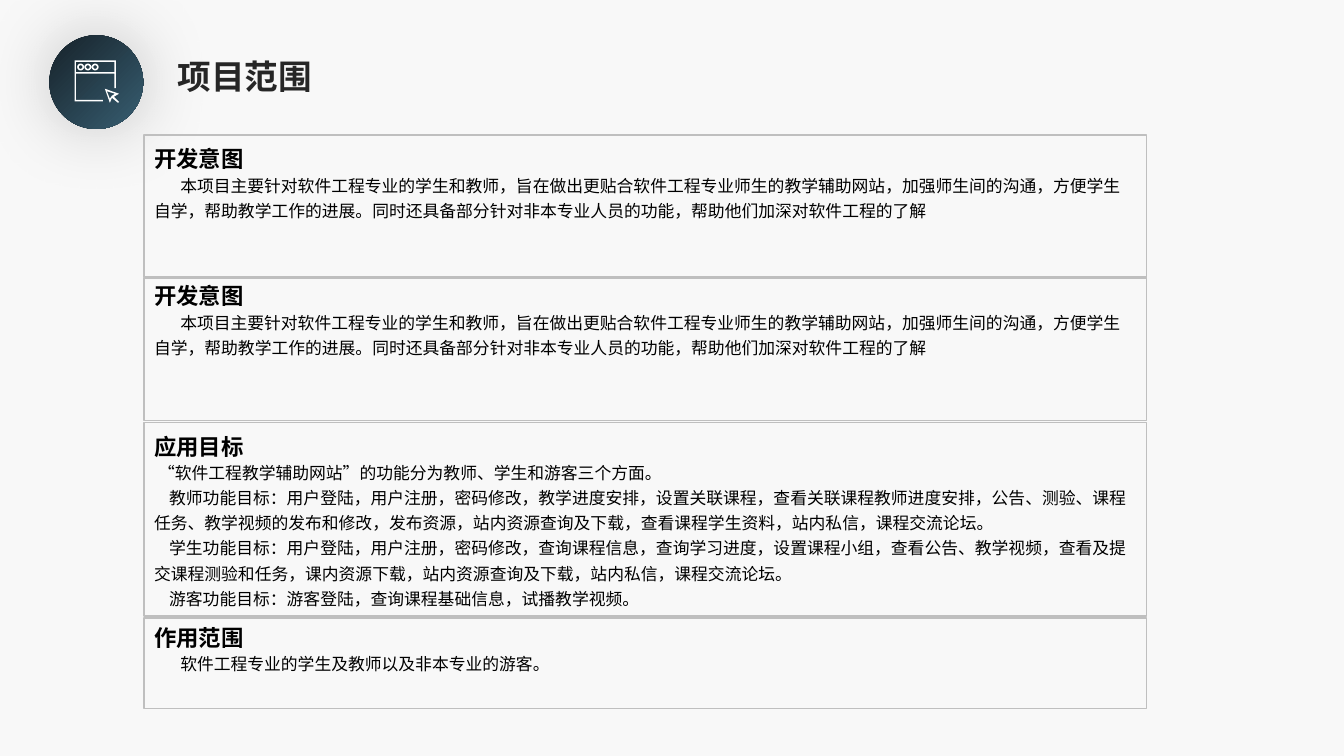
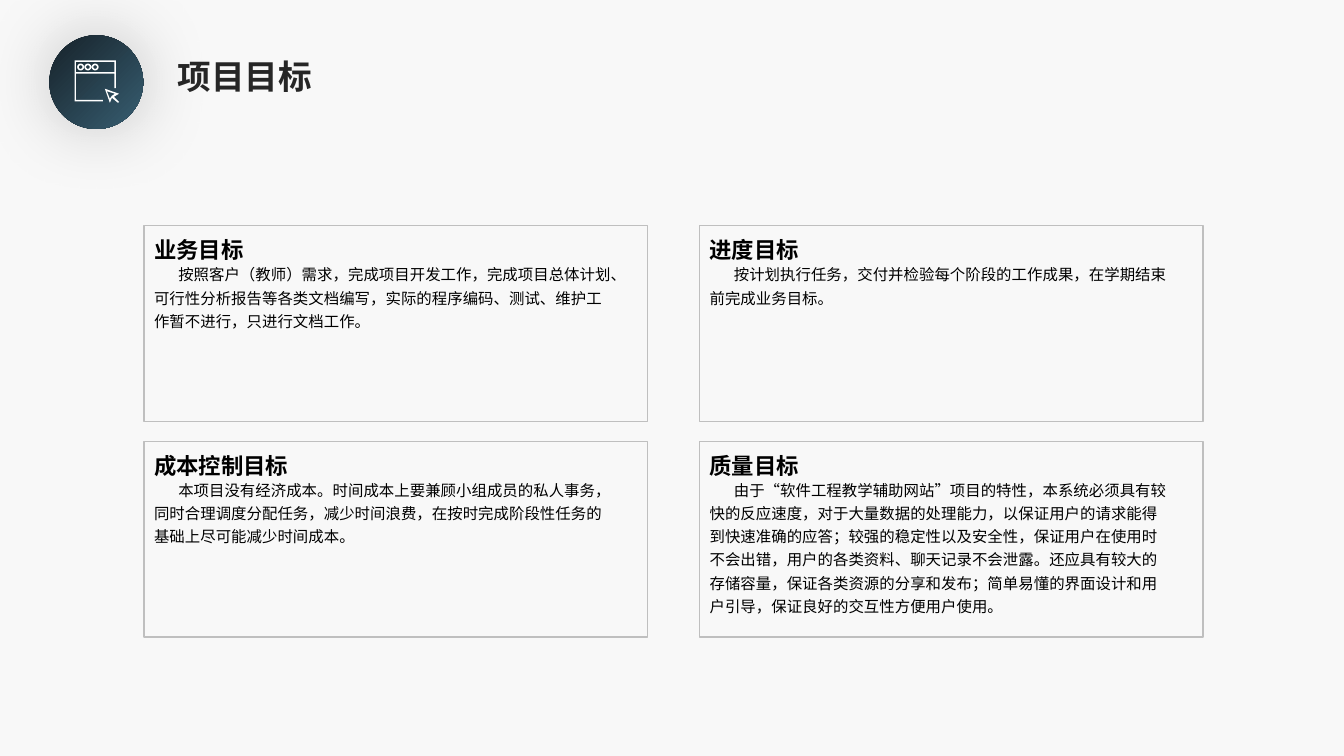
"""Build two project slides with a shared badge, title and framed text cards."""
from math import cos, sin, pi
from lxml.etree import SubElement
from pptx import Presentation
from pptx.dml.color import RGBColor
from pptx.enum.shapes import MSO_SHAPE as Shape
from pptx.enum.text import MSO_ANCHOR as Anchor, MSO_AUTO_SIZE as Auto, PP_ALIGN as Align
from pptx.oxml.ns import qn
from pptx.util import Inches as In, Pt

FONT = "Noto Sans CJK SC"
PAPER, INK, BLACK, WHITE, RULE = "F8F8F8", "262626", "000000", "FFFFFF", "BFBFBF"
DARK, TEAL = "17232B", "395F72"
LEFT, STEP = 1.43, 0.3


def color(code):
    return RGBColor.from_string(code)


def write(box, *lines, size=12, ink=BLACK, bold=False, space=None, indents=(0,),
          anchor=Anchor.TOP, auto=Auto.SHAPE_TO_FIT_TEXT):
    frame = box.text_frame
    frame.word_wrap, frame.auto_size, frame.vertical_anchor = True, auto, anchor
    frame.text = "\n".join(lines)
    for n, para in enumerate(frame.paragraphs):
        para.alignment, para.line_spacing = Align.LEFT, space
        para._p.get_or_add_pPr().set("indent", str(In(indents[min(n, len(indents) - 1)])))
        font = para.runs[0].font
        font.size, font.bold, font.name = Pt(size), bold, FONT
        font.color.rgb = color(ink)
        props = para.runs[0]._r.get_or_add_rPr()
        props.set("lang", "zh-CN")
        SubElement(props, qn("a:ea")).set("typeface", FONT)


intent = ("本项目主要针对软件工程专业的学生和教师，旨在做出更贴合软件工程专业师生的教学辅助网站，"
          "加强师生间的沟通，方便学生自学，帮助教学工作的进展。同时还具备部分针对非本专业人员的功能，"
          "帮助他们加深对软件工程的了解")
goals = [
    "“软件工程教学辅助网站”的功能分为教师、学生和游客三个方面。",
    "教师功能目标：用户登陆，用户注册，密码修改，教学进度安排，设置关联课程，查看关联课程教师进度安排，"
    "公告、测验、课程任务、教学视频的发布和修改，发布资源，站内资源查询及下载，查看课程学生资料，"
    "站内私信，课程交流论坛。",
    "学生功能目标：用户登陆，用户注册，密码修改，查询课程信息，查询学习进度，设置课程小组，查看公告、"
    "教学视频，查看及提交课程测验和任务，课内资源下载，站内资源查询及下载，站内私信，课程交流论坛。",
    "游客功能目标：游客登陆，查询课程基础信息，试播教学视频。",
]
biz = ("按照客户（教师）需求，完成项目开发工作，完成项目总体计划、可行性分析报告等各类文档编写，"
       "实际的程序编码、测试、维护工作暂不进行，只进行文档工作。")
cost = ("本项目没有经济成本。时间成本上要兼顾小组成员的私人事务，同时合理调度分配任务，减少时间浪费，"
        "在按时完成阶段性任务的基础上尽可能减少时间成本。")
plan = "按计划执行任务，交付并检验每个阶段的工作成果，在学期结束前完成业务目标。"
grade = ("由于“软件工程教学辅助网站”项目的特性，本系统必须具有较快的反应速度，对于大量数据的处理能力，"
         "以保证用户的请求能得到快速准确的应答；较强的稳定性以及安全性，保证用户在使用时不会出错，"
         "用户的各类资料、聊天记录不会泄露。还应具有较大的存储容量，保证各类资源的分享和发布；"
         "简单易懂的界面设计和用户引导，保证良好的交互性方便用户使用。")

scope = [
    (LEFT, 1.34, 1.41, 0, "开发意图", [intent], (0.26,)),
    (LEFT, 2.76, 1.41, -0.06, "开发意图", [intent], (0.26,)),
    (LEFT, 4.19, 1.92, 0, "应用目标", goals, (0.04, 0.15)),
    (LEFT, 6.13, 0.9, -0.04, "作用范围", ["软件工程专业的学生及教师以及非本专业的游客。"], (0.26,)),
]
names = [("业务目标", biz), ("进度目标", plan), ("成本控制目标", cost), ("质量目标", grade)]
aims = [(LEFT + n % 2 * 5.51, 2.24 + n // 2 * 2.14, 1.94, 0, head, [text], (0.24,))
        for n, (head, text) in enumerate(names)]
decks = [("项目范围", scope, 9.94, 9.94, 12), ("项目目标", aims, 4.99, 4.74, 11)]

lines = [
    [(740, 600), (1150, 600), (1150, 875), (1135, 875), (1135, 730), (752, 730),
     (752, 990), (1020, 990), (1020, 1005), (740, 1005)],
    [(752, 615), (1135, 615), (1135, 715), (752, 715)],
    [(1040, 880), (1180, 930), (1130, 960), (1180, 1010), (1170, 1020), (1110, 970), (1090, 1020)],
    [(1060, 905), (1090, 980), (1110, 950), (1140, 930)],
]
for mid in (800, 872, 944):
    for rad in (34, 18):
        lines.append([(mid + rad * cos(k * pi / 12), 665 + rad * sin(k * pi / 12))
                      for k in range(24)])

prs = Presentation()
prs.slide_width, prs.slide_height = In(13.33), In(7.5)
back = prs.slide_master.background.fill
back.solid()
back.fore_color.rgb = color(PAPER)

for name, cards, wide, span, size in decks:
    slide = prs.slides.add_slide(prs.slide_layouts[5])
    title = slide.shapes.title
    title.left, title.top, title.width, title.height = In(1.66), In(0.5), In(3.6), In(0.5)
    write(title, name, size=24, ink=INK, bold=True, anchor=Anchor.MIDDLE, auto=Auto.NONE)

    badge = slide.shapes.add_group_shape()
    disc = badge.shapes.add_shape(Shape.OVAL, In(0.49), In(0.35), In(0.93), In(0.93))
    disc.fill.gradient()
    disc.fill.gradient_angle = 315
    for stop, code in zip(disc.fill.gradient_stops, (DARK, TEAL)):
        stop.color.rgb = color(code)
    pen = badge.shapes.build_freeform(*lines[0][0], scale=914.4)
    for n, loop in enumerate(lines):
        if n:
            pen.move_to(*loop[0])
        pen.add_line_segments(loop[1:], close=True)
    icon = pen.convert_to_shape()
    icon.fill.solid()
    icon.fill.fore_color.rgb = color(WHITE)
    for part in (disc, icon):
        part.line.fill.background()
        part.shadow.inherit = False
        glow = SubElement(part._element.spPr.find(qn("a:effectLst")), qn("a:outerShdw"),
                          blurRad=str(Pt(53)), dist="0", dir="0", algn="ctr", rotWithShape="0")
        tint = SubElement(glow, qn("a:srgbClr"), val=BLACK)
        SubElement(tint, qn("a:alpha"), val="20000")

    for left, top, high, shift, head, body, indents in cards:
        frame = slide.shapes.add_shape(Shape.RECTANGLE, In(left), In(top), In(wide), In(high))
        frame.fill.background()
        frame.line.color.rgb = color(RULE)
        frame.line.width = Pt(1)
        frame.shadow.inherit = False
        text = slide.shapes.add_textbox(In(left), In(top + shift + STEP), In(span), In(high - STEP))
        write(text, *body, size=size, space=1.25, indents=indents)
        label = slide.shapes.add_textbox(In(left), In(top + shift), In(wide * 0.85), In(0.4))
        write(label, head, size=16, bold=True, space=1.2)

prs.save("out.pptx")
